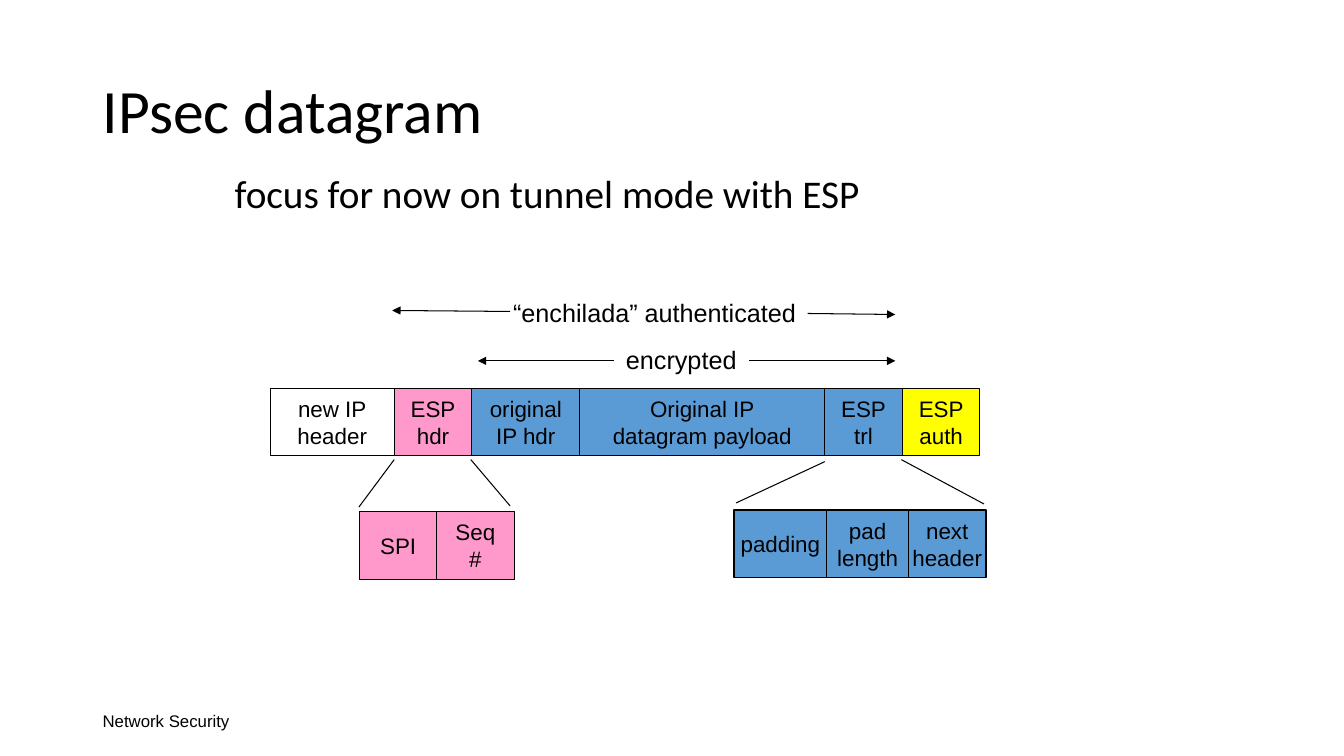
"""Build the IPsec datagram slide."""
from dataclasses import dataclass

from lxml import etree
from pptx import Presentation
from pptx.dml.color import RGBColor
from pptx.enum import shapes, text
from pptx.oxml.ns import qn
from pptx.util import Inches, Pt


@dataclass(frozen=True)
class Theme:
    ink: str = "000000"
    pink: str = "FF99CC"
    blue: str = "5B9BD5"
    yellow: str = "FFFF00"
    head_font: str = "Calibri"
    body_font: str = "Arial"
    title: int = 44
    lead: int = 28
    label: int = 18
    field: int = 16
    footer: int = 12
    line: float = 0.75


class Slide:
    def __init__(self, prs, theme):
        self.t = theme
        self.s = prs.slides.add_slide(prs.slide_layouts[5])

    def fill_text(self, tf, content, size, font, align=text.PP_ALIGN.LEFT, spacing=None):
        for i, para in enumerate(content.split("\n")):
            p = tf.paragraphs[0] if i == 0 else tf.add_paragraph()
            p.alignment = align
            if spacing:
                p.line_spacing = spacing
            for j, part in enumerate(para.split("\v")):
                if j:
                    p.add_line_break()
                r = p.add_run()
                r.text = part
                r.font.size = Pt(size)
                r.font.name = font
                r.font.color.rgb = RGBColor.from_string(self.t.ink)

    def title(self, content, x, y, w, h):
        sp = self.s.shapes.title
        sp.left, sp.top, sp.width, sp.height = map(Inches, (x, y, w, h))
        tf = sp.text_frame
        tf.vertical_anchor = text.MSO_ANCHOR.MIDDLE
        self.fill_text(tf, content, self.t.title, self.t.head_font, spacing=0.9)

    def text(self, content, x, y, w, h, size, font, anchor=text.MSO_ANCHOR.TOP,
             wrap=True, spacing=None):
        tf = self.s.shapes.add_textbox(*map(Inches, (x, y, w, h))).text_frame
        tf.word_wrap = wrap
        tf.vertical_anchor = anchor
        if not wrap:
            tf.auto_size = text.MSO_AUTO_SIZE.SHAPE_TO_FIT_TEXT
        self.fill_text(tf, content, size, font, spacing=spacing)

    def field(self, content, x, y, w, h, fill):
        sp = self.s.shapes.add_shape(shapes.MSO_SHAPE.RECTANGLE, *map(Inches, (x, y, w, h)))
        sp.shadow.inherit = False
        if fill:
            sp.fill.solid()
            sp.fill.fore_color.rgb = RGBColor.from_string(fill)
        else:
            sp.fill.background()
        sp.line.color.rgb = RGBColor.from_string(self.t.ink)
        sp.line.width = Pt(self.t.line)
        tf = sp.text_frame
        tf.word_wrap = False
        tf.vertical_anchor = text.MSO_ANCHOR.MIDDLE
        self.fill_text(tf, content, self.t.field, self.t.body_font, text.PP_ALIGN.CENTER)

    def row(self, x, y, h, fields):
        for content, w, fill in fields:
            self.field(content, x, y, w, h, fill)
            x += w

    def line(self, x1, y1, x2, y2, arrow=False):
        c = self.s.shapes.add_connector(shapes.MSO_CONNECTOR.STRAIGHT,
                                        *map(Inches, (x1, y1, x2, y2)))
        c.line.color.rgb = RGBColor.from_string(self.t.ink)
        c.line.width = Pt(self.t.line)
        pr = c.element.spPr
        if arrow:
            etree.SubElement(pr.find(qn("a:ln")), qn("a:tailEnd"), type="triangle")
        etree.SubElement(pr, qn("a:effectLst"))


def main():
    prs = Presentation()
    prs.slide_width, prs.slide_height = Inches(13.33), Inches(7.5)
    t = Theme()
    s = Slide(prs, t)

    s.title("IPsec datagram", 0.92, 0.4, 11.5, 1.45)
    s.text("focus for now on tunnel mode with ESP", 2.23, 1.68, 8.5, 5.08,
           t.lead, t.head_font, spacing=0.9)
    s.text("Network Security", 0.92, 6.95, 3, 0.4, t.footer, t.body_font,
           anchor=text.MSO_ANCHOR.MIDDLE)

    s.row(2.68, 3.85, 0.67, [
        ("new IP\vheader", 1.23, None),
        ("ESP\nhdr", 0.77, t.pink),
        ("original\vIP hdr", 1.07, t.blue),
        ("Original IP\ndatagram payload", 2.43, t.blue),
        ("ESP\ntrl", 0.77, t.blue),
        ("ESP\nauth", 0.77, t.yellow),
    ])
    s.row(3.57, 5.07, 0.68, [("SPI", 0.76, t.pink), ("Seq\n#", 0.77, t.pink)])
    s.row(7.28, 5.06, 0.67, [
        ("padding", 0.92, t.blue),
        ("pad\vlength", 0.81, t.blue),
        ("next\vheader", 0.77, t.blue),
    ])

    for content, x, y, w in [("encrypted", 6.11, 3.37, 1.3),
                             ("“enchilada” authenticated", 4.99, 2.9, 3.05)]:
        s.text(content, x, y, w, 0.4, t.label, t.body_font, wrap=False)
    for ends in [(7.43, 3.58, 8.88, 3.58), (6.09, 3.58, 4.74, 3.58),
                 (8.01, 3.11, 8.88, 3.12), (5.06, 3.09, 3.89, 3.08)]:
        s.line(*ends, arrow=True)
    for ends in [(3.56, 5.03, 3.91, 4.56), (4.67, 4.56, 5.06, 5.02),
                 (7.3, 4.99, 8.18, 4.58), (9.76, 5, 8.94, 4.56)]:
        s.line(*ends)

    prs.save("out.pptx")


if __name__ == "__main__":
    main()
